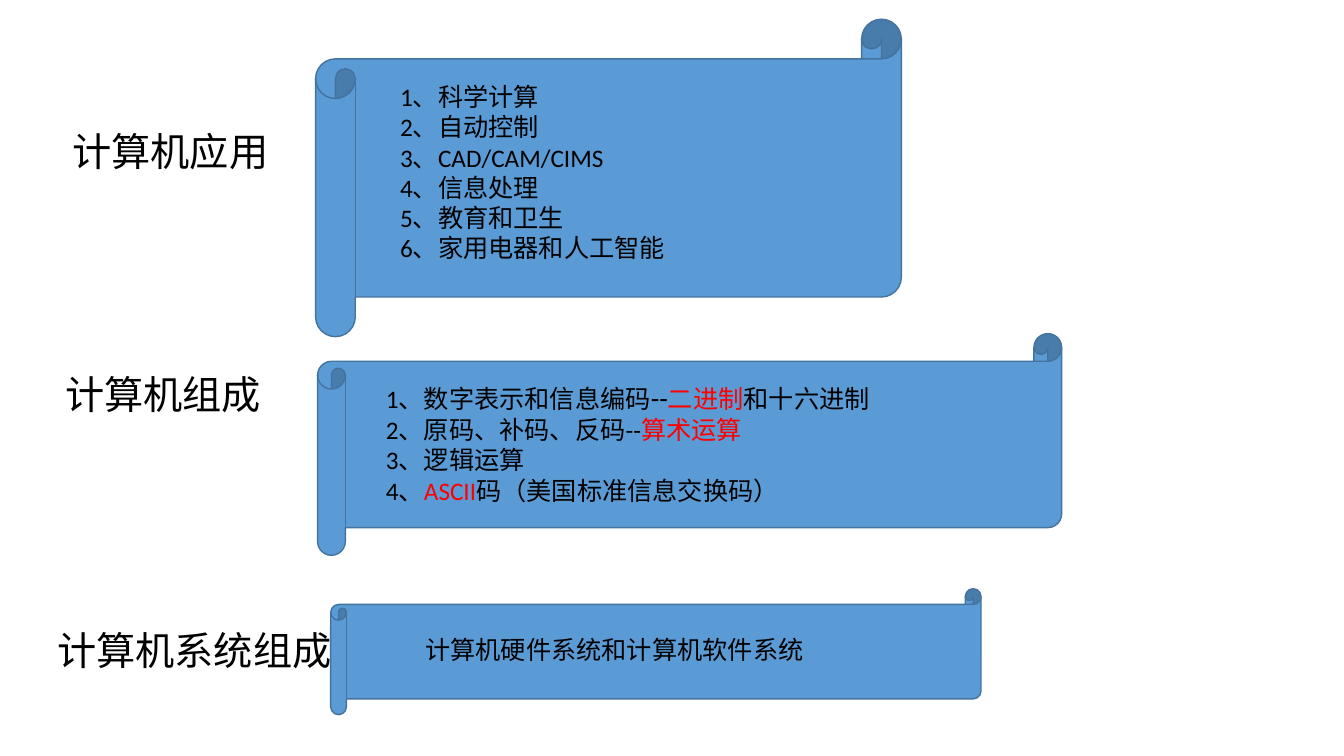
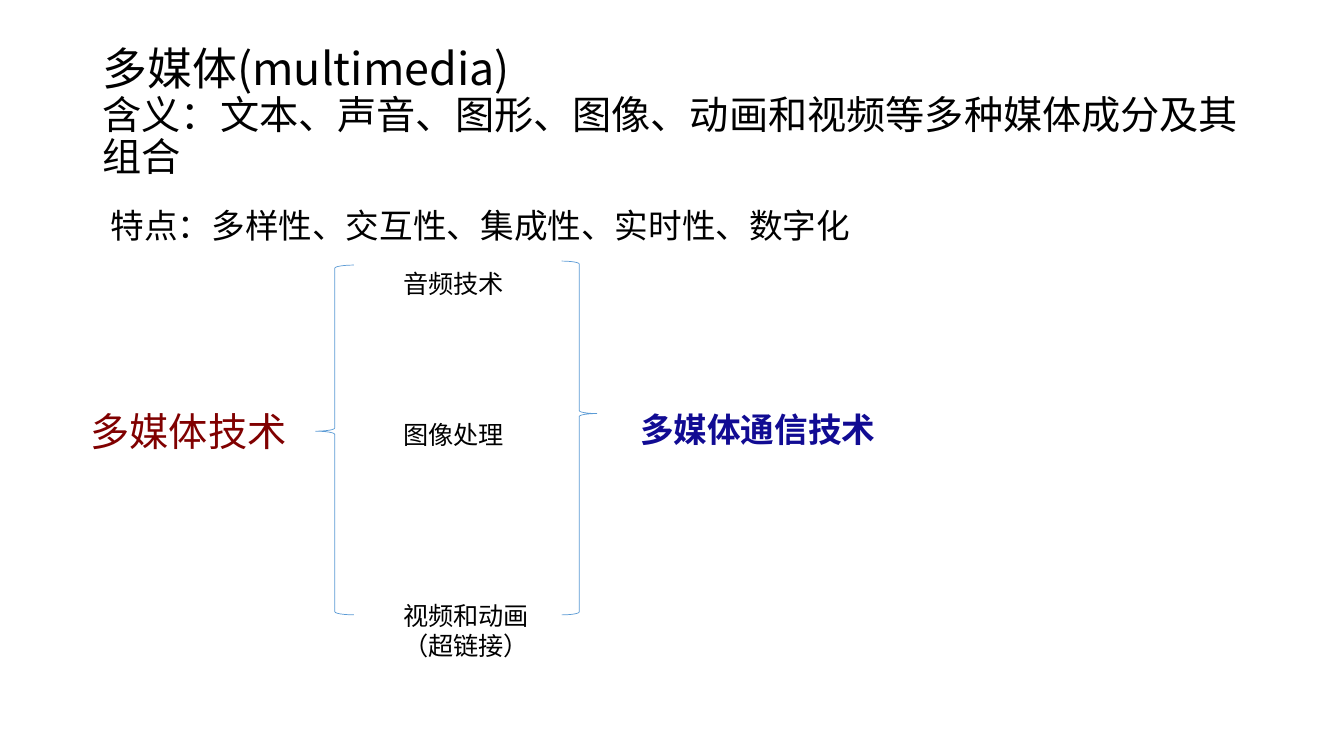
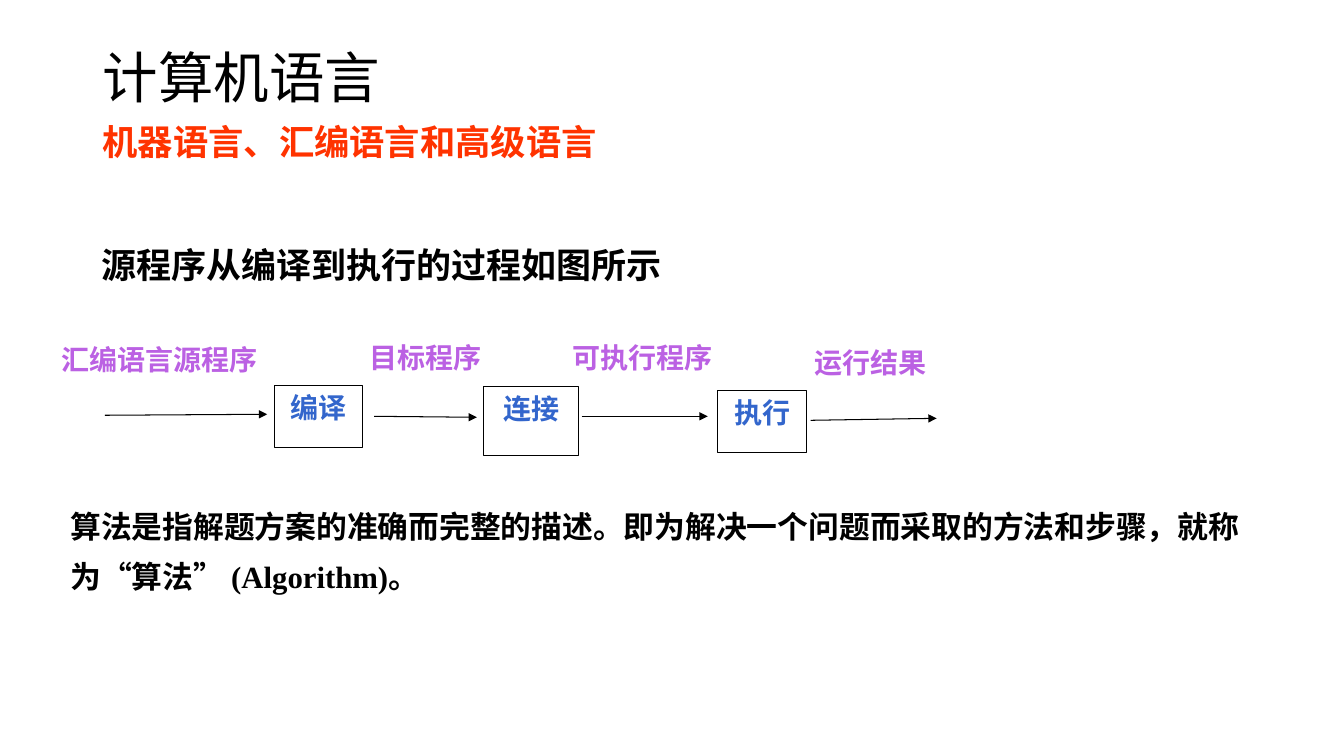
from pptx import Presentation
from pptx import util as u
from pptx.dml.color import RGBColor
from pptx.enum import shapes, text
from pptx.oxml import parse_xml
from pptx.oxml.ns import nsdecls

BLACK = RGBColor(0, 0, 0)
WHITE = RGBColor(255, 255, 255)
RED = RGBColor(255, 0, 0)
SKY = RGBColor(0x5B, 0x9B, 0xD5)
NAVY = RGBColor(0x43, 0x73, 0x9E)
MAROON = RGBColor(0x80, 0, 0)
INDIGO = RGBColor(0x11, 0x0B, 0x93)
ORANGE = RGBColor(0xFF, 0x33, 0)
BLUE = RGBColor(0x33, 0x66, 0xCC)
PURPLE = RGBColor(0xBB, 0x61, 0xE3)

KIND = shapes.MSO_SHAPE
ALIGN = text.PP_ALIGN
SANS, NOTO, SERIF = "Calibri", "Noto Sans CJK SC", "Times New Roman"
TITLE = (0.92, 0.4, 11.5, 1.45)

HEAD = dict(name=SANS, size=28, color=BLACK)
BODY = dict(HEAD, size=18)
HOT = dict(BODY, color=RED)
DASH = dict(BODY, size=20)
POINT = dict(BODY, size=24)
TOPIC = dict(name=NOTO, size=32, color=BLACK)
SENSE = dict(TOPIC, size=28)
TECH = dict(SENSE, color=MAROON)
COMM = dict(name=NOTO, size=24, color=INDIGO, bold=True)
LANG = dict(HEAD, size=39.6)
KINDS = dict(name=SERIF, size=25.2, color=ORANGE, bold=True)
FLOW = dict(name=NOTO, size=25, color=BLACK, bold=True)
STEP = dict(name=SERIF, size=20, color=BLUE, bold=True)
LABEL = dict(STEP, color=PURPLE)
NOTE = dict(STEP, size=22, color=BLACK)

USES = ["1、科学计算", "2、自动控制", "3、CAD/CAM/CIMS", "4、信息处理",
        "5、教育和卫生", "6、家用电器和人工智能"]
PARTS = [
    [("1、数字表示和信息编码", BODY), ("--", DASH), ("二进制", HOT), ("和十六进制", BODY)],
    [("2、原码、补码、反码--", BODY), ("算术运算", HOT)],
    [("3、逻辑运算", BODY)],
    [("4、", BODY), ("ASCII", HOT), ("码（美国标准信息交换码）", BODY)],
]
SCROLLS = [
    ("计算机应用", (0.62, 1.21, 2.14, 0.57), (3.13, 0.19, 5.81, 3.15),
     [[(use, BODY)] for use in USES], (3.87, 0.76, 2.83, 2.2), True),
    ("计算机组成", (0.55, 3.62, 2.14, 0.57), (3.15, 3.31, 7.38, 2.2),
     PARTS, (3.73, 3.73, 5.66, 1.34), True),
    ("计算机系统组成", (0.47, 6.16, 2.92, 0.57), (3.28, 5.84, 6.45, 1.25),
     [[("计算机硬件系统和计算机软件系统", BODY)]], (4.12, 6.24, 3.95, 0.4), False),
]
MEDIA = [("音频技术", 0), ("图像处理", 86.3), ("视频和动画（超链接）", 107.7)]
BRACES = [(KIND.LEFT_BRACE, (3.13, 2.63, 0.38, 3.47), 0.475),
          (KIND.RIGHT_BRACE, (5.57, 2.59, 0.35, 3.51), 0.431)]
STEPS = [("编译", (2.72, 3.82, 0.88, 0.62)), ("连接", (4.8, 3.83, 0.94, 0.69)),
         ("执行", (7.12, 3.87, 0.88, 0.62))]
LABELS = [("汇编语言源程序", (0.51, 3.35, 2.29, 0.42)), ("目标程序", (3.57, 3.33, 1.33, 0.42)),
          ("可执行程序", (5.58, 3.33, 1.95, 0.33)), ("运行结果", (7.98, 3.38, 1.57, 0.36))]
ARROWS = [(1.04, 4.12, 2.65, 4.11), (3.71, 4.13, 4.73, 4.14),
          (5.77, 4.13, 7.02, 4.13), (8.04, 4.17, 9.29, 4.15)]


def inch(box):
    return [u.Inches(n) for n in box]


def write(frame, rows, **form):
    for num, row in enumerate(rows):
        para = frame.paragraphs[0] if num == 0 else frame.add_paragraph()
        for key, val in form.items():
            setattr(para, key, val)
        for words, style in row:
            run = para.add_run()
            run.text = words.rstrip("\n")
            for key, val in style.items():
                if key == "color":
                    run.font.color.rgb = val
                else:
                    setattr(run.font, key, u.Pt(val) if key == "size" else val)
            if words.endswith("\n"):
                para.add_line_break()


def add_text(page, box, rows, wrap=False, grow=True, **form):
    frame = page.shapes.add_textbox(*inch(box)).text_frame
    frame.word_wrap = wrap
    if grow:
        frame.auto_size = text.MSO_AUTO_SIZE.SHAPE_TO_FIT_TEXT
    write(frame, rows, **form)
    return frame


def add_title(page, row, space):
    frame = add_text(page, TITLE, [row], wrap=True, grow=False, line_spacing=space)
    frame.vertical_anchor = text.MSO_ANCHOR.MIDDLE
    return frame


def add_form(page, kind, box, fill=None, line=None, width=1):
    form = page.shapes.add_shape(kind, *inch(box))
    form.shadow.inherit = False
    for part, tint in ((form.fill, fill), (form.line.fill, line)):
        if tint is None:
            part.background()
        else:
            part.solid()
            part.fore_color.rgb = tint
    if line is not None:
        form.line.width = u.Pt(width)
    return form


def add_box(page, words, box, style, align, line=None):
    frame = add_form(page, KIND.RECTANGLE, box, WHITE, line, 0.75).text_frame
    frame.word_wrap = True
    frame.vertical_anchor = text.MSO_ANCHOR.TOP
    write(frame, [[(words, style)]], alignment=align)


def add_arrow(page, ends):
    line = page.shapes.add_connector(shapes.MSO_CONNECTOR.STRAIGHT, *inch(ends))
    line.line.color.rgb = BLACK
    line.line.width = u.Pt(0.75)
    props = line.line._get_or_add_ln()
    props.append(parse_xml('<a:tailEnd type="triangle" %s/>' % nsdecls("a")))
    props.getparent().append(parse_xml("<a:effectLst %s/>" % nsdecls("a")))


deck = Presentation()
deck.slide_width, deck.slide_height = inch((13.33, 7.5))
scope, media, code = [deck.slides.add_slide(deck.slide_layouts[6]) for _ in range(3)]

for name, spot, scroll, rows, box, wrap in SCROLLS:
    add_text(scope, spot, [[(name, HEAD)]])
    add_form(scope, KIND.HORIZONTAL_SCROLL, scroll, SKY, NAVY)
    add_text(scope, box, rows, wrap)

add_title(media, [("多媒体(multimedia)\n", TOPIC),
                  ("含义：文本、声音、图形、图像、动画和视频等多种媒体成分及其组合", SENSE)], 0.9)
add_text(media, (0.8, 3.99, 2.14, 0.57), [[("多媒体技术", TECH)]])
for kind, box, tip in BRACES:
    brace = add_form(media, kind, box, line=SKY, width=0.5)
    brace.adjustments[0], brace.adjustments[1] = 0.083, tip
frame = add_text(media, (3.9, 2.61, 1.45, 4), [[(name, BODY)] for name, _ in MEDIA], True)
for para, (_, gap) in zip(frame.paragraphs, MEDIA):
    para.space_before = u.Pt(gap)
add_text(media, (1, 1.98, 7.53, 0.5),
         [[("特点：多样性、交互性、集成性、实时性、数字化", POINT)]])
add_text(media, (6.25, 4, 2.53, 0.51), [[("多媒体通信技术", COMM)]],
         line_spacing=1.02, space_before=u.Pt(6.2))

frame = add_title(code, [("计算机语言\n", LANG),
                         ("机器语言、汇编语言和高级语言", KINDS)], 1.25)
frame.margin_bottom = u.Inches(0.43)
add_text(code, (0.91, 2.28, 5.76, 0.62), [[("源程序从编译到执行的过程如图所示", FLOW)]],
         line_spacing=1.2, space_before=u.Pt(5))
for ends in ARROWS:
    add_arrow(code, ends)
for name, box in STEPS:
    add_box(code, name, box, STEP, ALIGN.CENTER, BLACK)
for name, box in LABELS:
    add_box(code, name, box, LABEL, ALIGN.JUSTIFY)
add_text(code, (0.6, 4.86, 12.11, 1.09),
         [[("算法是指解题方案的准确而完整的描述。即为解决一个问题而采取的方法和步骤，"
            "就称为“算法” (Algorithm)。", NOTE)]], True, line_spacing=1.35)

deck.save("out.pptx")
